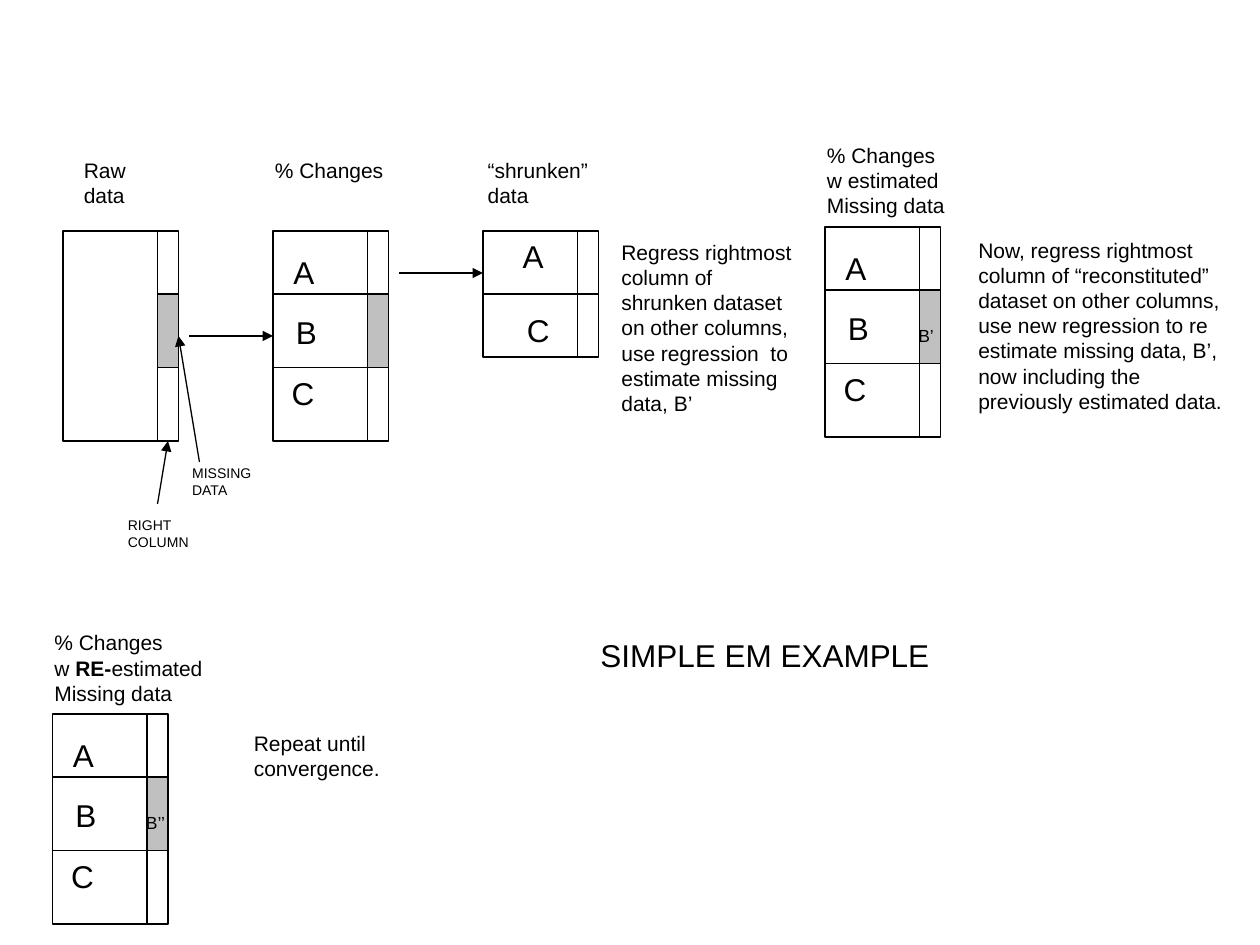
from lxml.etree import SubElement
from pptx import Presentation
from pptx.dml.color import RGBColor
from pptx.enum.shapes import MSO_CONNECTOR, MSO_SHAPE
from pptx.enum.text import MSO_AUTO_SIZE, PP_ALIGN
from pptx.oxml.ns import qn
from pptx.util import Pt

BLACK = "000000"
GREY = "C0C0C0"
LINE_WIDTH = 0.75
MATRIX_WIDTH = 66
COLUMN_LEFT = 54
FULL_HEIGHT = 120
ROW_LINES = (36, 78)
BLOCK_LETTERS = [("A", 4.6, 9, 27), ("B", 6, 43.2, 27), ("C", 3.6, 78.3, 28)]
SHRUNKEN_LETTERS = [("A", 15.6, 0, 27), ("C", 18, 42.3, 28)]

MATRICES = [
    {"at": (36, 132), "height": FULL_HEIGHT, "rows": (), "missing": True, "letters": []},
    {"at": (156, 132), "height": FULL_HEIGHT, "rows": ROW_LINES, "missing": True,
     "letters": BLOCK_LETTERS},
    {"at": (276, 132), "height": 72, "rows": ROW_LINES[:1], "missing": False,
     "letters": SHRUNKEN_LETTERS},
    {"at": (471.4, 129.75), "height": FULL_HEIGHT, "rows": ROW_LINES, "missing": True,
     "letters": BLOCK_LETTERS},
    {"at": (30, 408), "height": FULL_HEIGHT, "rows": ROW_LINES, "missing": True,
     "letters": BLOCK_LETTERS},
]

ARROWS = [
    ((108, 192), (156, 192)),
    ((228, 156), (276, 156)),
    ((114, 264), (102, 192)),
    ((90, 288), (96, 252)),
]

LABELS = [
    ((40.8, 86.4, 40, 36), 12, ["Raw", "data"]),
    ((150, 86.4, 78, 21.6), 12, ["% Changes"]),
    ((271.6, 86.4, 75, 36), 12, ["“shrunken”", "data"]),
    ((465.4, 77.9, 87, 50.4), 12, ["% Changes", "w estimated", "Missing data"]),
    ((24, 356.4, 102, 50.4), 12,
     ["% Changes", [("w ", False), ("RE-", True), ("estimated", False)], "Missing data"]),
    ((102.7, 262, 50, 26.6), 8, ["MISSING", "DATA"]),
    ((66, 291.6, 51, 26.6), 8, ["RIGHT", "COLUMN"]),
    ((517.7, 182.4, 26, 19.4), 10, ["B’"]),
    ((76.3, 460.4, 28, 19.4), 10, ["B’’"]),
    ((336, 360, 205, 28.8), 18, ["SIMPLE EM EXAMPLE"]),
]

NOTES = [
    ((348, 133.2, 117.4, 108), 12,
     ["Regress rightmost", "column of shrunken dataset",
      "on other columns, use regression  to estimate missing data, B’"]),
    ((552, 132, 156.2, 108), 12,
     ["Now, regress rightmost",
      "column of “reconstituted” dataset on other columns, use new regression to re "
      "estimate missing data, B’, now including the previously estimated data."]),
    ((138, 414, 117.4, 36), 12, ["Repeat until convergence."]),
]


def color(value):
    return RGBColor.from_string(value)


def add_box(slide, left, top, width, height, fill=None):
    shape = slide.shapes.add_shape(
        MSO_SHAPE.RECTANGLE, Pt(left), Pt(top), Pt(width), Pt(height))
    shape.shadow.inherit = False
    if fill:
        shape.fill.solid()
        shape.fill.fore_color.rgb = color(fill)
    else:
        shape.fill.background()
    shape.line.color.rgb = color(BLACK)
    shape.line.width = Pt(LINE_WIDTH)


def add_line(slide, start, end, arrow=False):
    connector = slide.shapes.add_connector(
        MSO_CONNECTOR.STRAIGHT, *(Pt(value) for value in (*start, *end)))
    connector.line.color.rgb = color(BLACK)
    connector.line.width = Pt(LINE_WIDTH)
    if arrow:
        SubElement(connector.line._get_or_add_ln(), qn("a:tailEnd"), type="triangle")
    SubElement(connector._element.spPr, qn("a:effectLst"))


def add_text(slide, place, size, lines, wrap=False):
    text_box = slide.shapes.add_textbox(*(Pt(value) for value in place))
    frame = text_box.text_frame
    frame.word_wrap = wrap
    frame.auto_size = MSO_AUTO_SIZE.SHAPE_TO_FIT_TEXT
    for index, line in enumerate(lines):
        paragraph = frame.add_paragraph() if index else frame.paragraphs[0]
        paragraph.alignment = PP_ALIGN.LEFT
        runs = [(line, False)] if isinstance(line, str) else line
        for text, bold in runs:
            run = paragraph.add_run()
            run.text = text
            run.font.name = "Arial"
            run.font.size = Pt(size)
            run.font.bold = bold
            run.font.color.rgb = color(BLACK)


def add_matrix(slide, matrix):
    left, top = matrix["at"]
    right = left + MATRIX_WIDTH
    column = left + COLUMN_LEFT
    add_box(slide, left, top, MATRIX_WIDTH, matrix["height"])
    if matrix["missing"]:
        first, last = ROW_LINES
        add_box(slide, column, top + first, right - column, last - first, GREY)
    for row in matrix["rows"]:
        add_line(slide, (left, top + row), (right, top + row))
    add_line(slide, (column, top), (column, top + matrix["height"]))
    for letter, across, down, width in matrix["letters"]:
        add_text(slide, (left + across, top + down, width, 28.8), 18, [letter])


def main():
    presentation = Presentation()
    presentation.slide_width = Pt(720)
    presentation.slide_height = Pt(540)
    slide = presentation.slides.add_slide(presentation.slide_layouts[6])
    for matrix in MATRICES:
        add_matrix(slide, matrix)
    for start, end in ARROWS:
        add_line(slide, start, end, arrow=True)
    for place, size, lines in LABELS:
        add_text(slide, place, size, lines)
    for place, size, lines in NOTES:
        add_text(slide, place, size, lines, wrap=True)
    presentation.save("out.pptx")


if __name__ == "__main__":
    main()
